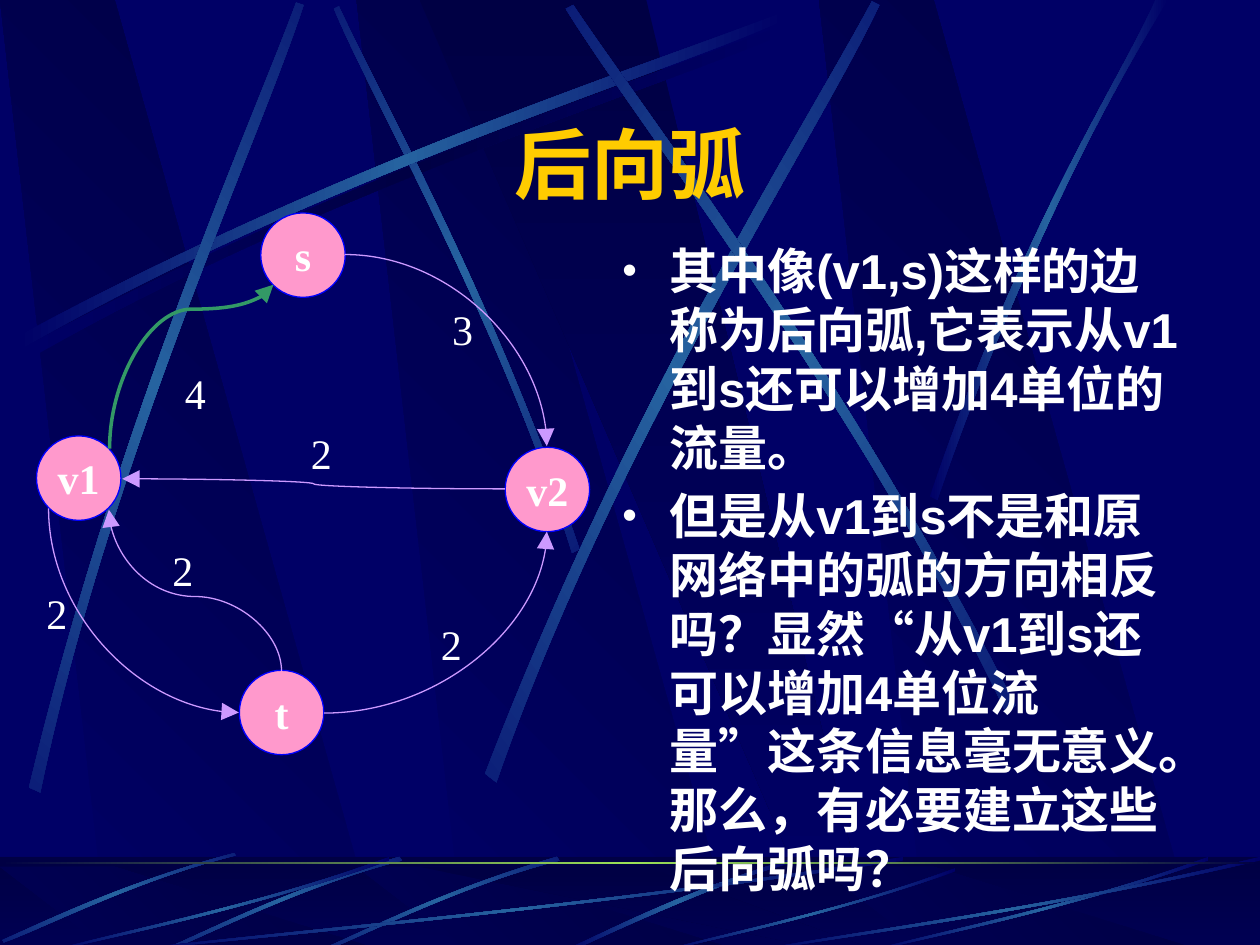
from dataclasses import dataclass
from math import cos, radians, sin

from lxml import etree
from pptx import Presentation
from pptx.dml.color import RGBColor
from pptx.enum.shapes import MSO_CONNECTOR, MSO_SHAPE
from pptx.enum.text import MSO_ANCHOR, PP_ALIGN
from pptx.oxml.ns import qn
from pptx.util import Cm, Pt

CURVE = MSO_CONNECTOR.CURVE
RECTANGLE, OVAL = MSO_SHAPE.RECTANGLE, MSO_SHAPE.OVAL
MIDDLE, TOP = MSO_ANCHOR.MIDDLE, MSO_ANCHOR.TOP
CENTER, LEFT = PP_ALIGN.CENTER, PP_ALIGN.LEFT


@dataclass(frozen=True)
class Theme:
    night: str = "000066"
    dark: str = "000044"
    ray: str = "2663A0"
    glow: str = "9CE157"
    title: str = "FFCC00"
    text: str = "FFFFFF"
    node: str = "FF99CC"
    rim: str = "0000FF"
    arc: str = "CC99FF"
    back_arc: str = "339966"
    title_font: str = "Montserrat"
    body_font: str = "Arial"
    graph_font: str = "Times New Roman"
    title_size: int = 44
    body_size: int = 28
    graph_size: int = 24


THEME = Theme()
RAY = (THEME.night, THEME.ray, THEME.night)
SHADE = (THEME.night, THEME.dark, THEME.night)

TITLE = "后向弧"
BODY = [
    "其中像(v1,s)这样的边称为后向弧,它表示从v1到s还可以增加4单位的流量。",
    "但是从v1到s不是和原网络中的弧的方向相反吗？显然“从v1到s还可以增加4单位流量”"
    "这条信息毫无意义。那么，有必要建立这些后向弧吗？",
]
NODE_SIZE = 0.67
NODES = [("v1", 0.29, 3.46), ("t", 1.9, 5.32), ("s", 2.07, 1.69), ("v2", 4.01, 3.55)]
WEIGHTS = [("2", 0.27, 4.61, 0.36), ("3", 3.49, 2.36, 0.36), ("2", 3.4, 4.86, 0.36),
           ("4", 1.37, 2.87, 0.36), ("2", 2.37, 3.34, 0.46), ("2", 1.27, 4.27, 0.36)]
ARCS = [
    ((0.87, 2.26), (2.17, 3.56), 270, 85100, THEME.back_arc, 2),
    ((0.97, 3.8), (4.01, 3.88), 180, 50000, THEME.arc, 0.75),
    ((1.95, 4.09), (0.33, 5.6), 270, None, THEME.arc, 0.75),
    ((2.19, 4), (0.91, 5.37), 90, 46200, THEME.arc, 0.75),
    ((2.57, 5.66), (4.34, 4.22), 0, None, THEME.arc, 0.75),
    ((2.74, 2.02), (4.34, 3.54), 0, None, THEME.arc, 0.75),
]
PANEL_LEFTS = [2.83, 0, 6.5]
PANEL = [(0.86, 1), (3.02, 1), (0.91, 0), (0, 0)]
WEDGE = [(3.33, 0), (6.58, 1), (6.94, 1), (5.13, 0)]
SKY_RAYS = [
    (SHADE, 0, [(0.2, 2.75), (2.84, 1.34), (5.24, 0.59), (6.26, 0.18)],
     [(6.29, 0.24), (5.28, 0.69), (2.54, 1.51), (0.23, 2.85)]),
    (RAY, 45, [(4.6, 4.36), (3.91, 2.34), (3.02, 0.77), (2.69, 0.05)],
     [(2.65, 0.07), (2.95, 0.79), (3.98, 2.58), (4.54, 4.39)]),
    (RAY, 0, [(0.14, 2.67), (2.78, 1.25), (5.18, 0.51), (6.2, 0.1)],
     [(6.23, 0.16), (5.22, 0.61), (2.48, 1.43), (0.17, 2.77)]),
    (RAY, 311.7, [(0.23, 6.25), (0.93, 3.34), (1.97, 1.05), (2.35, 0.02)],
     [(2.41, 0.04), (2.07, 1.09), (0.86, 3.68), (0.32, 6.29)]),
    (RAY, 321.6, [(3.85, 6.14), (4.98, 3.2), (6.38, 1.02), (6.92, 0.01)],
     [(6.98, 0.04), (6.49, 1.08), (4.86, 3.55), (3.94, 6.21)]),
    (RAY, 34.7, [(8.06, 5.6), (6.7, 2.93), (5.16, 0.95), (4.55, 0.04)],
     [(4.49, 0.07), (5.07, 1.01), (6.85, 3.25), (7.99, 5.67)]),
    (RAY, 0, [(7.38, 3.94), (8.14, 1.73), (8.88, 0.66), (9.17, 0)],
     [(9.27, 0), (8.36, 1.45), (7.69, 3.22), (7.44, 3.97)]),
]
GROUND_RAYS = [
    (RAY, 0, [(6.27, 6.82), (5.37, 7.09), (4.77, 7.42), (4.48, 7.54)],
     [(4.53, 7.55), (4.9, 7.38), (5.71, 7), (6.28, 6.85)]),
    (RAY, 315, [(4.42, 6.8), (3.55, 7.05), (2.87, 7.4), (2.56, 7.53)],
     [(2.57, 7.55), (2.88, 7.43), (3.65, 7.03), (4.44, 6.83)]),
    (RAY, 315, [(3.17, 6.8), (2.3, 7.05), (1.62, 7.4), (1.31, 7.53)],
     [(1.32, 7.55), (1.63, 7.43), (2.4, 7.03), (3.19, 6.83)]),
    (RAY, 315, [(1.86, 6.77), (0.99, 7), (0.32, 7.33), (0.02, 7.46)],
     [(0.03, 7.48), (0.34, 7.37), (1.09, 6.98), (1.87, 6.79)]),
]
LOW_RAY = [(1, 0.04), (0.57, 0.57), (0.17, 0.85), (0, 1)]
LOW_RAY_BACK = [(0, 0.99), (0.17, 0.81), (0.62, 0.51), (1, 0)]
LOW_RAY_BOXES = [(1, 6.8, 6.17, 0.75), (0.42, 6.8, 2.67, 0.75), (5.27, 6.89, 2.31, 0.66),
                 (6.92, 6.8, 2.67, 0.75), (6, 6.8, 4, 0.75)]


def inch(value):
    return Cm(value * 2.54)


def color(value):
    return RGBColor.from_string(value)


def grade(shape, colors, angle):
    shape.shadow.inherit = False
    shape.line.fill.background()
    shape.fill.gradient()
    shape.fill.gradient_angle = (360 - angle) % 360
    stops = shape._element.spPr.find(qn("a:gradFill")).find(qn("a:gsLst"))
    for stop in list(stops):
        stops.remove(stop)
    for index, value in enumerate(colors):
        position = str(100000 * index // (len(colors) - 1))
        stop = etree.SubElement(stops, qn("a:gs"), pos=position)
        etree.SubElement(stop, qn("a:srgbClr"), val=value)


def add_outline(page, points, colors, angle):
    corners = [(inch(x), inch(y)) for x, y in points]
    builder = page.shapes.build_freeform(*corners[0])
    builder.add_line_segments(corners[1:], close=True)
    shape = builder.convert_to_shape()
    grade(shape, colors, angle)
    return shape


def add_bar(page, top, height):
    return page.shapes.add_shape(RECTANGLE, 0, inch(top), inch(10), inch(height))


def rotate(point, angle):
    x, y = point
    c, s = cos(radians(angle)), sin(radians(angle))
    return x * c - y * s, x * s + y * c


def add_ray(page, colors, turn, edge, back):
    points = [rotate(point, -turn) for point in edge + back]
    shape = add_outline(page, points, colors, 0)
    lines = list(shape._element.iter(qn("a:lnTo")))
    for group in (lines[:3], lines[4:7]):
        bend = etree.Element(qn("a:cubicBezTo"))
        group[0].addprevious(bend)
        for line in group:
            bend.append(line[0])
            line.getparent().remove(line)
    half_width, half_height = shape.width / 2, shape.height / 2
    x, y = rotate((shape.left + half_width, shape.top + half_height), turn)
    shape.left, shape.top = round(x - half_width), round(y - half_height)
    shape.rotation = turn


def add_panels(page, top, height):
    for left in PANEL_LEFTS:
        points = [(left + x, top + y * height) for x, y in PANEL]
        add_outline(page, points, (THEME.night, THEME.dark), 315)
    points = [(x, top + y * height) for x, y in WEDGE]
    add_outline(page, points, (THEME.dark, THEME.night), 90)


def add_backdrop(page):
    page.background.fill.solid()
    page.background.fill.fore_color.rgb = color(THEME.night)
    add_panels(page, 0, 7.52)
    for ray in SKY_RAYS:
        add_ray(page, *ray)
    grade(add_bar(page, 6.8, 0.75), (THEME.dark, THEME.night), 90)
    add_panels(page, 6.88, 0.66)
    veil = add_bar(page, 6.8, 0.75)
    veil.shadow.inherit = False
    veil.line.fill.background()
    veil.fill.solid()
    veil.fill.fore_color.rgb = color(THEME.dark)
    shade = veil._element.spPr.find(qn("a:solidFill"))[0]
    etree.SubElement(shade, qn("a:alpha"), val="50000")
    for ray in GROUND_RAYS:
        add_ray(page, *ray)
    for left, top, width, height in LOW_RAY_BOXES:
        edges = [[(left + x * width, top + y * height) for x, y in edge]
                 for edge in (LOW_RAY, LOW_RAY_BACK)]
        add_ray(page, RAY, 0, *edges)
    grade(add_bar(page, 6.84, 0.02), (THEME.dark, THEME.glow, THEME.dark), 0)


def write(box, texts, font, size, ink, bold=True, align=LEFT, anchor=TOP, wrap=True):
    frame = box.text_frame
    frame.word_wrap = wrap
    frame.vertical_anchor = anchor
    for index, text in enumerate(texts):
        para = frame.add_paragraph() if index else frame.paragraphs[0]
        para.alignment = align
        span = para.add_run()
        span.text = text
        span.font.name, span.font.size, span.font.bold = font, Pt(size), bold
        span.font.color.rgb = color(ink)
    return frame.paragraphs


def add_box(page, *place):
    return page.shapes.add_textbox(*map(inch, place))


def add_arc(page, start, end, turn, bulge, ink, weight):
    arc = page.shapes.add_connector(CURVE, *map(inch, start + end))
    arc.line.color.rgb = color(ink)
    arc.line.width = Pt(weight)
    properties = arc._element.spPr
    properties.find(qn("a:xfrm")).set("rot", str(turn * 60000))
    geometry = properties.find(qn("a:prstGeom"))
    if bulge is None:
        geometry.set("prst", "curvedConnector2")
    else:
        guides = geometry.find(qn("a:avLst"))
        etree.SubElement(guides, qn("a:gd"), name="adj1", fmla=f"val {bulge}")
    line = properties.find(qn("a:ln"))
    etree.SubElement(line, qn("a:tailEnd"), type="triangle", w="lg", len="lg")
    etree.SubElement(properties, qn("a:effectLst"))


def add_graph(page):
    for name, left, top in NODES:
        node = page.shapes.add_shape(OVAL, *map(inch, (left, top, NODE_SIZE, NODE_SIZE)))
        node.shadow.inherit = False
        node.fill.solid()
        node.fill.fore_color.rgb = color(THEME.node)
        node.line.color.rgb = color(THEME.rim)
        node.line.width = Pt(0.75)
        write(node, [name], THEME.graph_font, THEME.graph_size, THEME.text,
              align=CENTER, anchor=MIDDLE, wrap=False)
    for arc in ARCS:
        add_arc(page, *arc)
    for weight, left, top, width in WEIGHTS:
        write(add_box(page, left, top, width, 0.5), [weight], THEME.graph_font,
              THEME.graph_size, THEME.text, bold=False, wrap=width > 0.4)


def add_words(page):
    write(add_box(page, 0.75, 0.88, 8.5, 0.83), [TITLE], THEME.title_font,
          THEME.title_size, THEME.title, align=CENTER, anchor=MIDDLE)
    body = add_box(page, 4.84, 1.86, 4.65, 5.43)
    for para in write(body, BODY, THEME.body_font, THEME.body_size, THEME.text):
        para.space_before = Pt(THEME.body_size * 0.2)
        properties = para._p.get_or_add_pPr()
        properties.set("marL", str(Pt(27)))
        properties.set("indent", str(-Pt(27)))
        etree.SubElement(properties, qn("a:buSzPct"), val="85000")
        etree.SubElement(properties, qn("a:buFont"), typeface=THEME.body_font)
        etree.SubElement(properties, qn("a:buChar"), char="•")


def main():
    """Build the slide on backward arcs in a flow network."""
    deck = Presentation()
    deck.slide_width, deck.slide_height = inch(10), inch(7.5)
    page = deck.slides.add_slide(deck.slide_layouts[6])
    add_backdrop(page)
    add_words(page)
    add_graph(page)
    deck.save("out.pptx")


if __name__ == "__main__":
    main()
